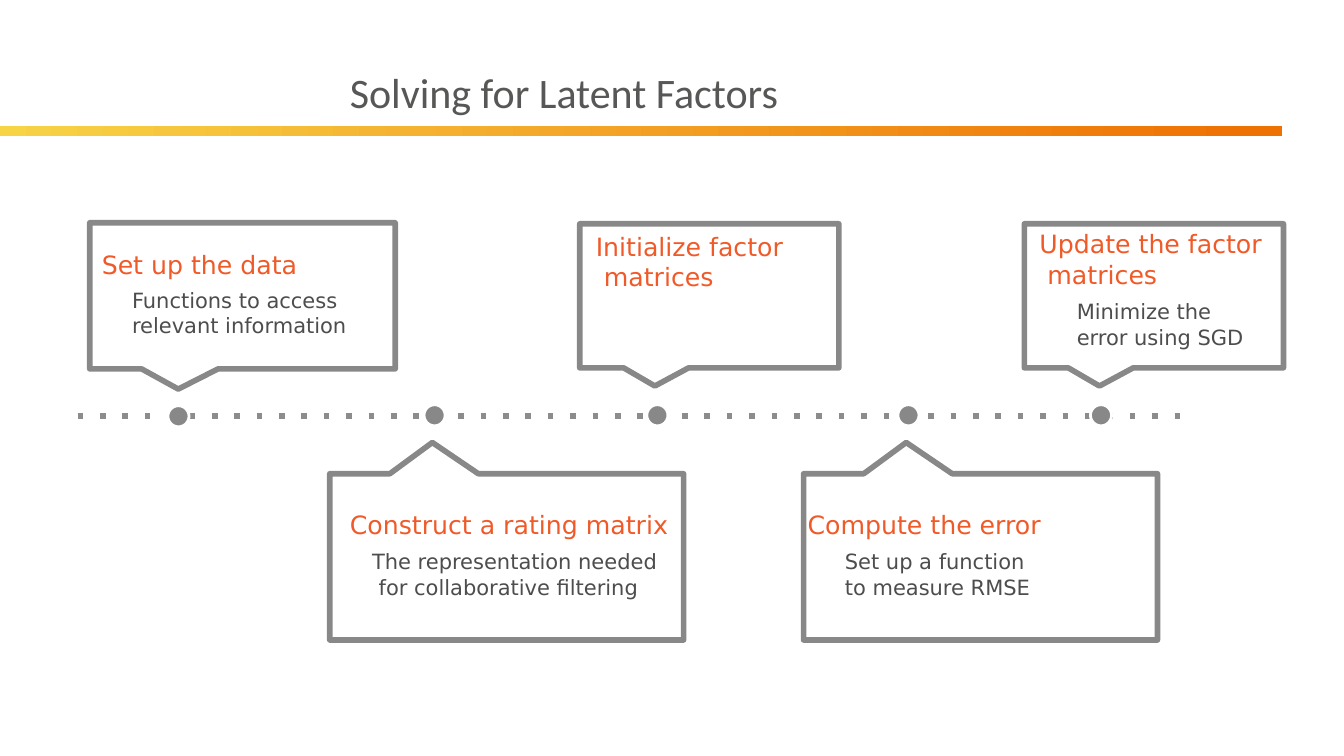
from lxml.etree import SubElement
from pptx import Presentation
from pptx.dml.color import RGBColor
from pptx.enum.dml import MSO_LINE
from pptx.enum.shapes import MSO_CONNECTOR, MSO_SHAPE
from pptx.enum.text import MSO_ANCHOR
from pptx.oxml.ns import qn
from pptx.util import Inches, Pt

GRAY = RGBColor(0x88, 0x88, 0x88)
AXIS_GRAY = RGBColor(0x8C, 0x8C, 0x8C)
TITLE_GRAY = RGBColor(0x57, 0x57, 0x56)
BODY_GRAY = RGBColor(0x4D, 0x4D, 0x4D)
ORANGE = RGBColor(0xF0, 0x5A, 0x28)
BAR_YELLOW = RGBColor(0xF7, 0xD3, 0x46)
BAR_ORANGE = RGBColor(0xEE, 0x71, 0x03)
WHITE = RGBColor(0xFF, 0xFF, 0xFF)

TAIL_FRACTIONS = (0.17, 0.29, 0.42)
DOT_SIZE = 0.21

NARROW_BOX = (2.57, 1.43)
LOWER_BOX = (3.51, 1.65)

STEPS = [
    dict(box=(0.89, 2.21, 3.03, 1.45), tail=0.2, text_box=(1, 2.47, 2.7, 0.9),
         heading="Set up the data", indent=0.31, gap=6.1,
         body="Functions to access\vrelevant information"),
    dict(box=(3.27, 4.7, *LOWER_BOX), tail=-0.31, text_box=(3.46, 5.05, 3.25, 0.9),
         heading="Construct a rating matrix", indent=0.23, gap=6.9,
         body="The representation needed\v for collaborative filtering"),
    dict(box=(5.75, 2.22, *NARROW_BOX), tail=0.18, text_box=(5.9, 2.29, 2.3, 0.9),
         heading="Initialize factor\v matrices"),
    dict(box=(7.97, 4.7, *LOWER_BOX), tail=-0.31, text_box=(8, 5.05, 2.7, 0.9),
         heading="Compute the error", indent=0.38, gap=6.9,
         body="Set up a function\vto measure RMSE"),
    dict(box=(10.16, 2.22, *NARROW_BOX), tail=0.18, text_box=(10.3, 2.27, 2.4, 1.4),
         heading="Update the factor\v matrices", indent=0.38, gap=6.9,
         body="Minimize the\verror using SGD"),
]
DOTS = [(1.77, 4.13), (4.31, 4.12), (6.52, 4.12), (9.01, 4.12), (10.92, 4.12)]


def add_text_frame(slide, box, anchor=MSO_ANCHOR.TOP):
    frame = slide.shapes.add_textbox(*map(Inches, box)).text_frame
    frame.word_wrap = True
    frame.vertical_anchor = anchor
    frame.margin_left = frame.margin_right = 0
    frame.margin_top = frame.margin_bottom = 0
    return frame


def write_text(paragraph, text, *, size, color, font="DejaVu Sans", indent=0.01, before=0):
    paragraph.text = text
    paragraph.space_before = Pt(before)
    paragraph._p.get_or_add_pPr().set("marL", str(Inches(indent)))
    for run in paragraph.runs:
        run.font.name = font
        run.font.size = Pt(size)
        run.font.color.rgb = color


def add_title(slide, box):
    left, top, width, height = box
    bar = slide.shapes.add_shape(
        MSO_SHAPE.RECTANGLE, 0, Inches(top + height + 0.09), Inches(12.72), Inches(0.1))
    bar.shadow.inherit = False
    bar.line.fill.background()
    bar.fill.gradient()
    bar.fill.gradient_angle = 0
    for stop, color, position in zip(
            bar.fill.gradient_stops, (BAR_YELLOW, BAR_ORANGE), (0, 0.98)):
        stop.color.rgb = color
        stop.position = position
    frame = add_text_frame(slide, box, MSO_ANCHOR.BOTTOM)
    write_text(frame.paragraphs[0], "Solving for Latent Factors",
               size=30, color=TITLE_GRAY, font="Calibri")


def add_timeline(slide, left, top, width):
    axis = slide.shapes.add_connector(
        MSO_CONNECTOR.STRAIGHT, Inches(left), Inches(top), Inches(left + width), Inches(top))
    axis.line.color.rgb = AXIS_GRAY
    axis.line.width = Pt(4)
    axis.line.dash_style = MSO_LINE.ROUND_DOT
    properties = axis._element.spPr
    properties.find(qn("a:ln")).find(qn("a:prstDash")).set("val", "dot")
    SubElement(properties, qn("a:effectLst"))
    for center_x, center_y in DOTS:
        dot = slide.shapes.add_shape(
            MSO_SHAPE.OVAL, Inches(center_x - DOT_SIZE / 2), Inches(center_y - DOT_SIZE / 2),
            Inches(DOT_SIZE), Inches(DOT_SIZE))
        dot.shadow.inherit = False
        dot.fill.solid()
        dot.fill.fore_color.rgb = GRAY
        dot.line.color.rgb = WHITE
        dot.line.width = Pt(2)


def add_callout(slide, box, tail):
    left, top, width, height = map(Inches, box)
    right, bottom = left + width, top + height
    tail_edge, far_edge = (bottom, top) if tail > 0 else (top, bottom)
    tail_start, tip, tail_end = (left + round(width * part) for part in TAIL_FRACTIONS)
    builder = slide.shapes.build_freeform(left, far_edge)
    builder.add_line_segments([
        (right, far_edge), (right, tail_edge), (tail_end, tail_edge),
        (tip, tail_edge + Inches(tail)), (tail_start, tail_edge), (left, tail_edge)],
        close=True)
    callout = builder.convert_to_shape()
    callout.shadow.inherit = False
    callout.fill.background()
    callout.line.color.rgb = GRAY
    callout.line.width = Pt(4)


def add_step(slide, box, tail, text_box, heading, body=None, indent=0, gap=0):
    add_callout(slide, box, tail)
    frame = add_text_frame(slide, text_box)
    write_text(frame.paragraphs[0], heading, size=18, color=ORANGE)
    if body:
        write_text(frame.add_paragraph(), body, size=15, color=BODY_GRAY,
                   indent=indent, before=gap)


def main():
    presentation = Presentation()
    presentation.slide_width = Inches(13.33)
    presentation.slide_height = Inches(7.5)
    slide = presentation.slides.add_slide(presentation.slide_layouts[6])
    add_title(slide, (3.46, 0.64, 6.42, 0.52))
    add_timeline(slide, 0.77, 4.13, 10.99)
    for step in STEPS:
        add_step(slide, **step)
    presentation.save("out.pptx")


if __name__ == "__main__":
    main()
